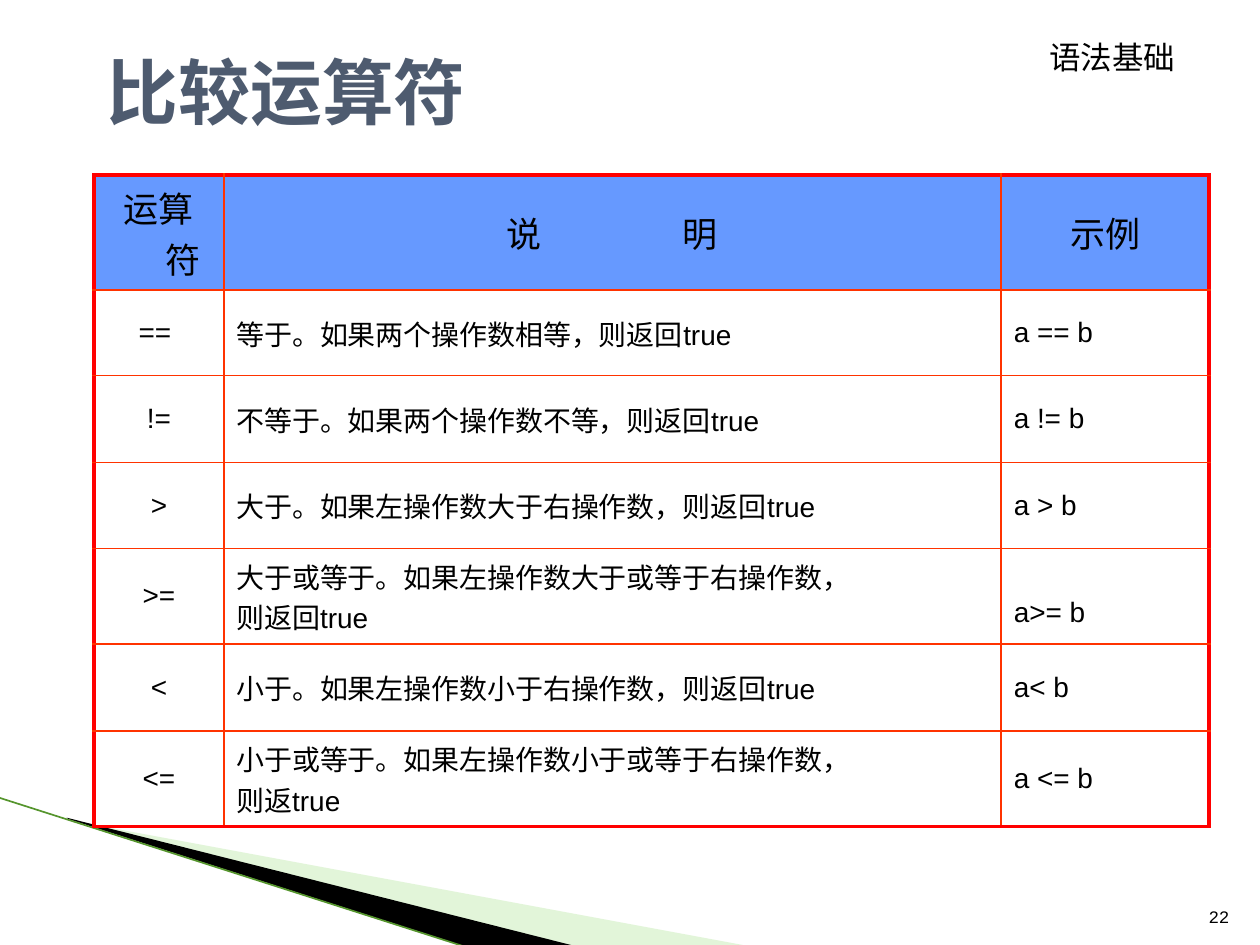
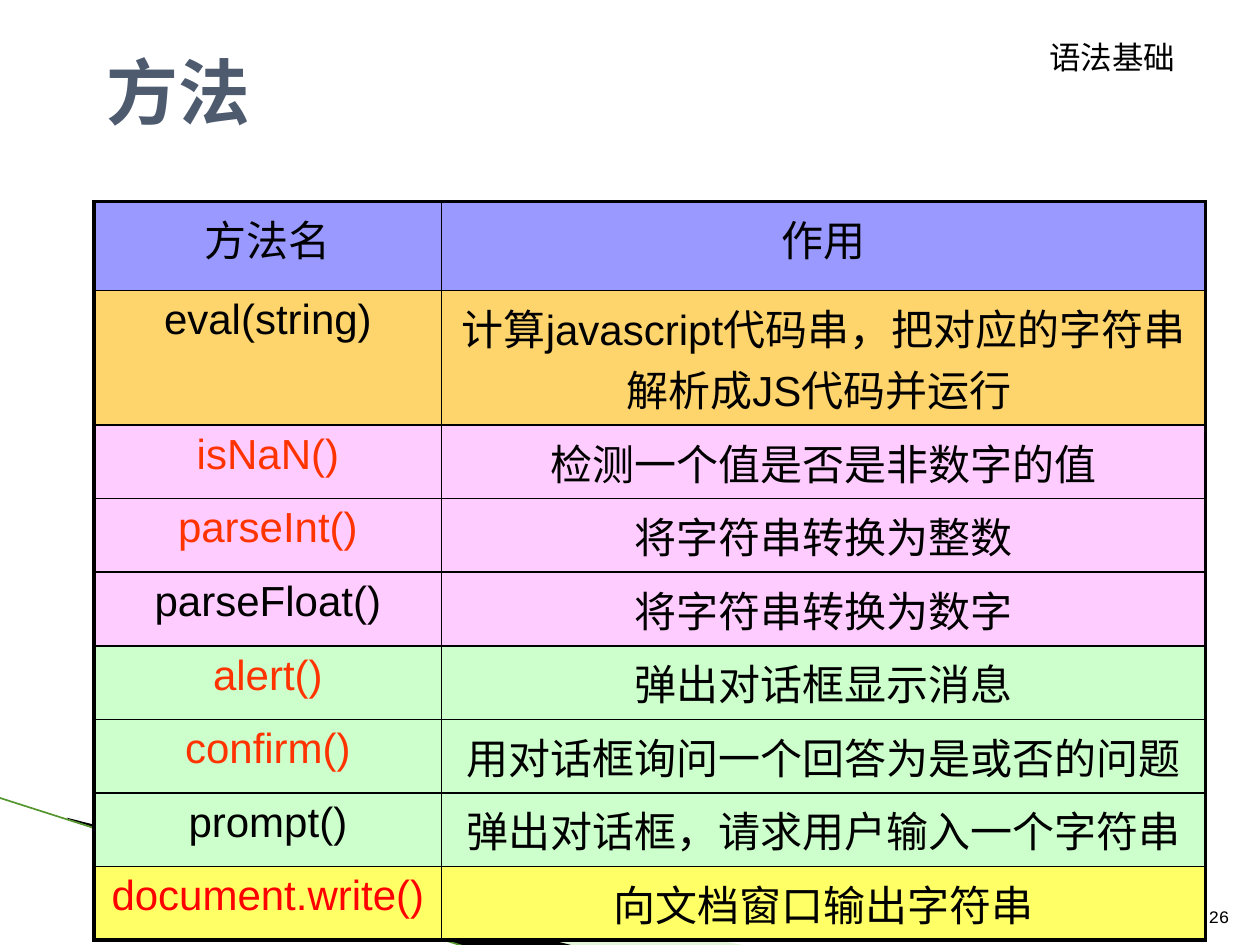
from lxml import etree
from pptx import Presentation
from pptx.dml.color import RGBColor
from pptx.enum.shapes import MSO_CONNECTOR
from pptx.enum.text import MSO_ANCHOR, PP_ALIGN
from pptx.oxml.ns import qn
from pptx.util import Inches, Pt

LEFT, CENTER, RIGHT = PP_ALIGN.LEFT, PP_ALIGN.CENTER, PP_ALIGN.RIGHT
TOP, MIDDLE, BOTTOM = MSO_ANCHOR.TOP, MSO_ANCHOR.MIDDLE, MSO_ANCHOR.BOTTOM
STRAIGHT = MSO_CONNECTOR.STRAIGHT

COLS, ROWS = 100, 75
TABLE_LEFT = 7.46
COLORS = {
    "title": "4E5B6F", "black": "000000", "wedge": "B8E7A1", "edge": "55952D",
    "red": "FF0000", "orange": "FF3300", "blue": "6699FF", "violet": "9999FF",
    "gold": "FED46C", "pink": "FFCCFF", "mint": "CCFFCC", "yellow": "FFFF66",
}
BODY, HEADING = "Arial", "Courier New"
THIN, THICK = 1, 2.25

OPERATORS = [
    ("运算符", "说 明", "示例"),
    ("== ", "等于。如果两个操作数相等，则返回true", "a == b"),
    ("!=", "不等于。如果两个操作数不等，则返回true", "a != b"),
    (">", "大于。如果左操作数大于右操作数，则返回true", "a > b"),
    (">=", "大于或等于。如果左操作数大于或等于右操作数，\n则返回true", "a>= b"),
    ("<", "小于。如果左操作数小于右操作数，则返回true", "a< b"),
    ("<=", "小于或等于。如果左操作数小于或等于右操作数，\n则返true", "a <= b"),
]
METHODS = [
    ("方法名", "作用", "violet", "black"),
    ("eval(string)", "计算javascript代码串，把对应的字符串解析成JS代码并运行 ", "gold", "black"),
    ("isNaN()", "检测一个值是否是非数字的值", "pink", "orange"),
    ("parseInt()", "将字符串转换为整数", "pink", "orange"),
    ("parseFloat()", "将字符串转换为数字", "pink", "black"),
    ("alert()", "弹出对话框显示消息", "mint", "orange"),
    ("confirm()", "用对话框询问一个回答为是或否的问题", "mint", "orange"),
    ("prompt()", "弹出对话框，请求用户输入一个字符串", "mint", "black"),
    ("document.write()", "向文档窗口输出字符串", "yellow", "red"),
]


def rgb(name):
    return RGBColor.from_string(COLORS[name])


class Deck:
    def __init__(self):
        self.prs = Presentation()
        self.prs.slide_width, self.prs.slide_height = Inches(10), Inches(7.5)
        self.s = None

    def x(self, cols):
        return round(self.prs.slide_width * cols / COLS)

    def y(self, rows):
        return round(self.prs.slide_height * rows / ROWS)

    def slide(self, title, number):
        self.s = self.prs.slides.add_slide(self.prs.slide_layouts[6])
        self.wedge([(5.5, 65.1), (59.5, 75.1), (45.6, 75.1), (5.5, 65)], "wedge", 40)
        self.wedge([(5.3, 64.9), (45.7, 75.1), (37.2, 75.2), (5.4, 65)], "black")
        self.line((-0.1, 63.3), (37.1, 75.2), "edge", 0.95)
        self.text(title, (7.5, 2.85, 90, 8.7), 41, "title", anchor=MIDDLE, bold=True)
        self.text(number, (94.56, 70.1, 4, 4), 10, align=RIGHT, anchor=BOTTOM)
        label = self.text("语法基础", (82.3, 2.9, 12.9, 3.8), 18, wrap=False)
        label.paragraphs[0].line_spacing = 0.9

    def wedge(self, points, color, alpha=None):
        (x0, y0), *rest = [(self.x(c), self.y(r)) for c, r in points]
        builder = self.s.shapes.build_freeform(x0, y0)
        builder.add_line_segments(rest)
        sp = builder.convert_to_shape()
        sp.shadow.inherit = False
        sp.fill.solid()
        sp.fill.fore_color.rgb = rgb(color)
        sp.line.fill.background()
        if alpha:
            clr = sp._element.spPr.find(".//" + qn("a:srgbClr"))
            etree.SubElement(clr, qn("a:alpha"), val=str(alpha * 1000))

    def line(self, start, end, color, width):
        (c1, r1), (c2, r2) = start, end
        cxn = self.s.shapes.add_connector(
            STRAIGHT, self.x(c1), self.y(r1), self.x(c2), self.y(r2))
        cxn.line.color.rgb = rgb(color)
        cxn.line.width = Pt(width)
        etree.SubElement(cxn._element.spPr, qn("a:effectLst"))

    def style(self, tf, size, color, font, align=LEFT, bold=False):
        for p in tf.paragraphs:
            p.alignment = align
            for r in p.runs:
                r.font.size, r.font.name, r.font.bold = Pt(size), font, bold
                r.font.color.rgb = rgb(color)

    def text(self, words, box, size, color="black", align=LEFT, anchor=TOP,
             bold=False, wrap=True):
        c, r, w, h = box
        tf = self.s.shapes.add_textbox(self.x(c), self.y(r), self.x(w), self.y(h)).text_frame
        tf.word_wrap = wrap
        tf.vertical_anchor = anchor
        tf.text = words
        self.style(tf, size, color, HEADING, align, bold)
        return tf

    def table(self, top, widths, heights, outer, inner):
        n_rows, n_cols = len(heights), len(widths)
        table = self.s.shapes.add_table(
            n_rows, n_cols, self.x(TABLE_LEFT), self.y(top),
            self.x(sum(widths)), self.y(sum(heights))).table
        table.first_row = table.horz_banding = False
        for col, w in zip(table.columns, widths):
            col.width = self.x(w)
        for row, h in zip(table.rows, heights):
            row.height = self.y(h)
        for i in range(n_rows):
            for j in range(n_cols):
                edges = {"L": j == 0, "R": j == n_cols - 1,
                         "T": i == 0, "B": i == n_rows - 1}
                for side, on_edge in edges.items():
                    self.border(table.cell(i, j), side, outer if on_edge else inner,
                                THICK if on_edge else THIN)
        return table

    def border(self, cell, side, color, width):
        ln = etree.SubElement(cell._tc.get_or_add_tcPr(), qn("a:ln" + side),
                              w=str(Pt(width)))
        fill = etree.SubElement(ln, qn("a:solidFill"))
        etree.SubElement(fill, qn("a:srgbClr"), val=COLORS[color])

    def cell(self, cell, words, size, color="black", fill=None, align=CENTER,
             anchor=TOP, hanging=0):
        cell.text_frame.text = words
        cell.vertical_anchor = anchor
        self.style(cell.text_frame, size, color, BODY, align)
        if fill:
            cell.fill.solid()
            cell.fill.fore_color.rgb = rgb(fill)
        else:
            cell.fill.background()
        for p in cell.text_frame.paragraphs:
            if hanging:
                pPr = p._p.get_or_add_pPr()
                pPr.set("marL", str(self.x(hanging)))
                pPr.set("indent", str(-self.x(hanging)))

    def widen_space(self, cell, size, points):
        p = cell.text_frame.paragraphs[0]
        left, right = p.text.split(" ")
        p.runs[0].text = left
        for part in (" ", right):
            p.add_run().text = part
        self.style(cell.text_frame, size, "black", BODY, CENTER)
        p.runs[1]._r.get_or_add_rPr().set("spc", str(points * 100))


def operators_slide(deck):
    deck.slide("比较运算符", "22")
    heights = [9.12, 6.8, 6.9, 6.8, 7.6, 6.9, 7.6]
    table = deck.table(13.9, [10.3, 61.7, 16.5], heights, "red", "orange")
    for i, row in enumerate(OPERATORS):
        for j, words in enumerate(row):
            header = i == 0
            deck.cell(table.cell(i, j), words, 20 if header else 16,
                      fill="blue" if header else None,
                      align=CENTER if header or j == 0 else LEFT,
                      anchor=MIDDLE, hanging=3.8)
    deck.widen_space(table.cell(0, 1), 20, 76)
    table.cell(4, 2).margin_top = deck.y(3.1)


def methods_slide(deck):
    deck.slide("方法", "26")
    heights = [7.06, 10.68] + [5.84] * 7
    table = deck.table(16, [27.6, 60.6], heights, "black", "black")
    for i, (name, purpose, fill, color) in enumerate(METHODS):
        deck.cell(table.cell(i, 0), name, 24, color, fill)
        deck.cell(table.cell(i, 1), purpose, 24, "black", fill)
    for row in table.rows:
        for cell in row.cells:
            for p in cell.text_frame.paragraphs:
                p.space_before = Pt(4.8)


def main():
    deck = Deck()
    operators_slide(deck)
    methods_slide(deck)
    deck.prs.save("out.pptx")


if __name__ == "__main__":
    main()
